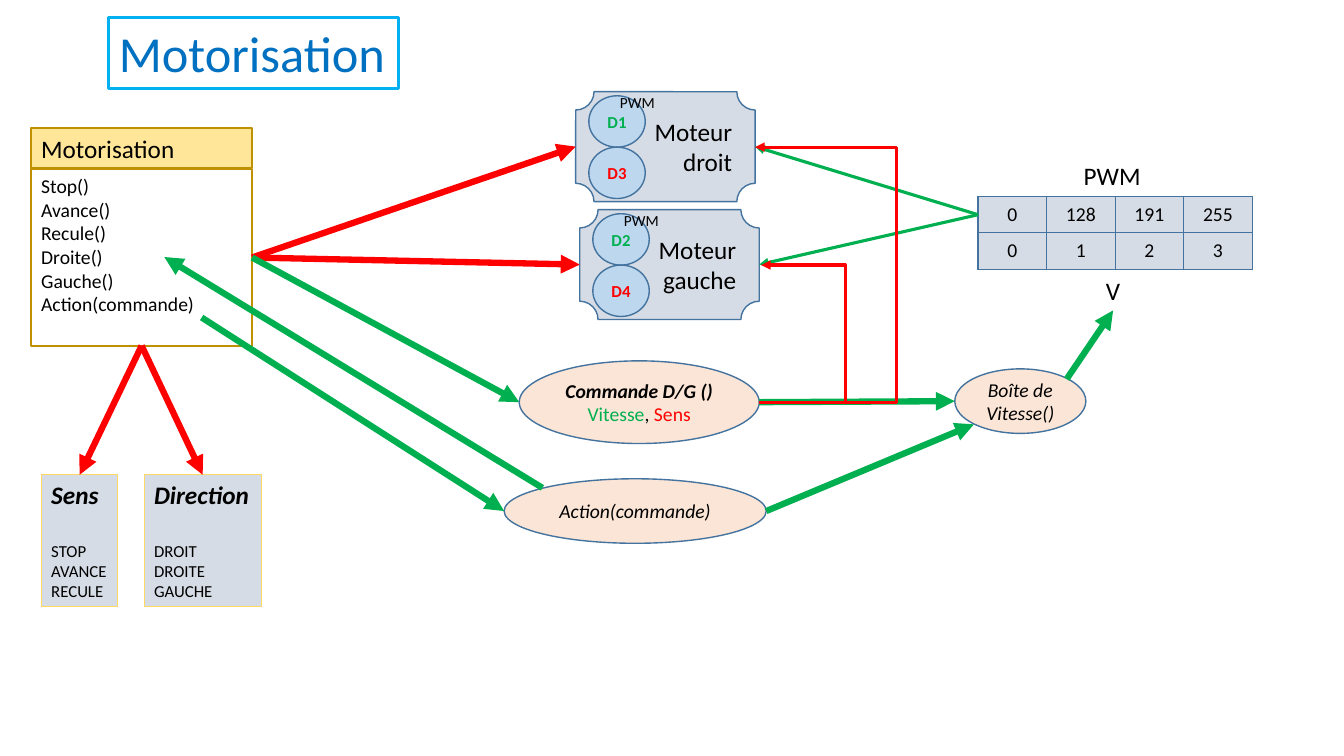
"""Build the Motorisation slide: classes, motors, commands and the PWM speed table."""
from dataclasses import dataclass
from typing import NamedTuple, Optional, Union

from pptx import Presentation
from pptx.dml.color import RGBColor
from pptx.enum.shapes import MSO_CONNECTOR as Connector, MSO_SHAPE as Shape
from pptx.enum.text import MSO_ANCHOR as Anchor, PP_ALIGN as Align
from pptx.oxml.ns import qn
from pptx.util import Pt
from lxml.etree import SubElement

PX = 9144
FONT = "Calibri"
BLACK = RGBColor(0x00, 0x00, 0x00)
RED = RGBColor(0xFF, 0x00, 0x00)
GREEN = RGBColor(0x00, 0xB0, 0x50)
GREY = RGBColor(0xD6, 0xDC, 0xE5)
STEEL = RGBColor(0x43, 0x73, 0x9E)
SKY = RGBColor(0xBD, 0xD7, 0xEE)
PEACH = RGBColor(0xFB, 0xE5, 0xD6)
CREAM = RGBColor(0xFF, 0xE6, 0x99)
GOLD = RGBColor(0xBF, 0x90, 0x00)
YELLOW = RGBColor(0xFF, 0xD9, 0x66)
CYAN = RGBColor(0x00, 0xB0, 0xF0)
BLUE = RGBColor(0x00, 0x70, 0xC0)
TOP, LEFT, BOTTOM, RIGHT = range(4)


class Run(NamedTuple):
    text: str
    size: int = 14
    color: RGBColor = BLACK
    bold: bool = False
    italic: bool = False


class Line(NamedTuple):
    runs: tuple
    space_before: int = 0


class Side(NamedTuple):
    box: str
    index: int


class Point(NamedTuple):
    x: int
    y: int


@dataclass(frozen=True)
class Box:
    name: str
    kind: Optional[Shape]
    left: int
    top: int
    width: int
    height: int
    lines: tuple
    fill: Optional[RGBColor] = None
    outline: RGBColor = STEEL
    weight: float = 1
    align: Align = Align.LEFT
    anchor: Anchor = Anchor.TOP
    wrap: bool = True


@dataclass(frozen=True)
class Link:
    begin: Union[Point, Side]
    end: Union[Point, Side]
    color: RGBColor
    weight: float = 4.5
    bend: Optional[int] = None


def single(text: str, **style) -> tuple:
    return (Line((Run(text, **style),)),)


def label(text: str, left: int, top: int, width: int, height: int, size: int) -> Box:
    return Box(text, None, left, top, width, height, single(text, size=size), wrap=False)


def oval(name: str, left: int, top: int, width: int, height: int, lines: tuple,
         fill: RGBColor = PEACH, wrap: bool = True) -> Box:
    return Box(name, Shape.OVAL, left, top, width, height, lines, fill,
               align=Align.CENTER, anchor=Anchor.MIDDLE, wrap=wrap)


def motor(side: str, left: int, top: int, speed: str, direction: str) -> list:
    lines = single("Moteur", size=18) + single(side, size=18)
    plate = Box(side, Shape.PLAQUE, left, top, 178, 109, lines, GREY,
                align=Align.RIGHT, anchor=Anchor.MIDDLE)
    pins = [oval(pin, left + 13, top + 4 + 51 * row, 56, 51,
                 single(pin, size=12, color=color, bold=True), SKY, False)
            for row, (pin, color) in enumerate(((speed, GREEN), (direction, RED)))]
    return [plate, *pins, label("PWM", left + 34, top - 4, 55, 29, 11)]


def enumeration(name: str, left: int, width: int, values: tuple) -> Box:
    items = tuple(Line((Run(value, 12),), 0 if index else 22)
                  for index, value in enumerate(values))
    return Box(name, Shape.RECTANGLE, left, 471, width, 131,
               single(name, size=18, bold=True, italic=True) + items,
               GREY, YELLOW, 0.75, wrap=False)


METHODS = ("Stop()", "Avance()", "Recule()", "Droite()", "Gauche()", "Action(commande)")
COMMAND = (Line((Run("Commande D/G ()", bold=True, italic=True),)),
           Line((Run("Vitesse", color=GREEN), Run(", "), Run("Sens", color=RED))))
BOXES = [
    Box("title", Shape.RECTANGLE, 108, 17, 287, 71,
        single("Motorisation", size=36, color=BLUE), None, CYAN, 2.25, wrap=False),
    Box("class", Shape.RECTANGLE, 31, 127, 219, 40,
        single("Motorisation", size=18), CREAM, GOLD, 1.5),
    Box("methods", Shape.RECTANGLE, 31, 168, 219, 175,
        tuple(Line((Run(method),)) for method in METHODS), None, GOLD, 1.5),
    *motor("droit", 571, 91, "D1", "D3"),
    *motor("gauche", 575, 208, "D2", "D4"),
    oval("gearbox", 947, 366, 130, 64, single("Boîte de Vitesse()", italic=True)),
    oval("command", 515, 358, 238, 82, COMMAND),
    oval("action", 500, 475, 260, 64, single("Action(commande)", italic=True)),
    enumeration("Direction", 143, 116, ("DROIT", "DROITE", "GAUCHE")),
    enumeration("Sens", 41, 76, ("STOP", "AVANCE", "RECULE")),
    label("PWM", 1065, 154, 77, 40, 18),
    label("V", 1087, 268, 35, 40, 18),
]
SPEEDS = (("0", "128", "191", "255"), ("0", "1", "2", "3"))
OUTPUT = Side("methods", RIGHT)
VALUES = Point(970, 213)
COMMAND_END = Point(753, 399)
LINKS = [
    Link(OUTPUT, Side("droit", LEFT), RED),
    Link(OUTPUT, Side("gauche", LEFT), RED),
    Link(Point(1058, 376), Point(1104, 308), GREEN),
    Link(VALUES, Side("droit", RIGHT), GREEN, 2.25),
    Link(VALUES, Side("gauche", RIGHT), GREEN, 2.25),
    Link(OUTPUT, Point(515, 399), GREEN),
    Link(COMMAND_END, Point(947, 398), GREEN),
    Link(COMMAND_END, Point(755, 263), RED, 2.25, 838),
    Link(COMMAND_END, Point(749, 146), RED, 2.25, 889),
    Link(Side("methods", BOTTOM), Side("Sens", TOP), RED),
    Link(Side("methods", BOTTOM), Side("Direction", TOP), RED),
    Link(Point(200, 315), Point(500, 507), GREEN),
    Link(Point(538, 484), Point(163, 255), GREEN),
    Link(Point(760, 507), Point(966, 421), GREEN),
]


def add_text(paragraph, text: str, *, size: int, color: RGBColor,
             bold: bool, italic: bool) -> None:
    run = paragraph.add_run()
    run.text = text
    font = run.font
    font.name, font.size, font.bold, font.italic = FONT, Pt(size), bold, italic
    font.color.rgb = color


def draw_box(slide, box: Box):
    bounds = [value * PX for value in (box.left, box.top, box.width, box.height)]
    if box.kind is None:
        shape = slide.shapes.add_textbox(*bounds)
    else:
        shape = slide.shapes.add_shape(box.kind, *bounds)
        shape.shadow.inherit = False
        shape.line.color.rgb, shape.line.width = box.outline, Pt(box.weight)
        if box.fill is None:
            shape.fill.background()
        else:
            shape.fill.solid()
            shape.fill.fore_color.rgb = box.fill
    frame = shape.text_frame
    frame.word_wrap, frame.vertical_anchor = box.wrap, box.anchor
    for index, line in enumerate(box.lines):
        paragraph = frame.add_paragraph() if index else frame.paragraphs[0]
        paragraph.alignment, paragraph.space_before = box.align, Pt(line.space_before)
        for run in line.runs:
            add_text(paragraph, **run._asdict())
    return shape


def draw_link(slide, link: Link, shapes: dict) -> None:
    begin, end = (place if isinstance(place, Point) else Point(0, 0)
                  for place in (link.begin, link.end))
    kind = Connector.STRAIGHT if link.bend is None else Connector.ELBOW
    connector = slide.shapes.add_connector(kind, *(value * PX for value in (*begin, *end)))
    if isinstance(link.begin, Side):
        connector.begin_connect(shapes[link.begin.box], link.begin.index)
    if isinstance(link.end, Side):
        connector.end_connect(shapes[link.end.box], link.end.index)
    connector.line.color.rgb, connector.line.width = link.color, Pt(link.weight)
    properties = connector._element.spPr
    SubElement(properties.find(qn("a:ln")), qn("a:tailEnd"), type="triangle")
    SubElement(properties, qn("a:effectLst"))
    if link.bend is not None:
        ratio = round((link.bend - begin.x) / (end.x - begin.x) * 100000)
        guides = properties.find(qn("a:prstGeom")).find(qn("a:avLst"))
        SubElement(guides, qn("a:gd"), name="adj1", fmla=f"val {ratio}")


def draw_cell(cell, text: str) -> None:
    cell.fill.solid()
    cell.fill.fore_color.rgb = GREY
    cell.vertical_anchor = Anchor.MIDDLE
    paragraph = cell.text_frame.paragraphs[0]
    paragraph.alignment = Align.CENTER
    add_text(paragraph, **Run(text)._asdict())
    properties = cell._tc.get_or_add_tcPr()
    for index, edge in enumerate(("a:lnL", "a:lnR", "a:lnT", "a:lnB")):
        border = properties.makeelement(qn(edge), {"w": str(Pt(1))})
        SubElement(SubElement(border, qn("a:solidFill")), qn("a:srgbClr"), val=str(STEEL))
        properties.insert(index, border)


def draw_speeds(slide) -> None:
    bounds = [value * PX for value in (970, 195, 272, 72)]
    table = slide.shapes.add_table(len(SPEEDS), len(SPEEDS[0]), *bounds).table
    for row, values in enumerate(SPEEDS):
        for column, value in enumerate(values):
            draw_cell(table.cell(row, column), value)


def main() -> None:
    presentation = Presentation()
    presentation.slide_width, presentation.slide_height = 1333 * PX, 750 * PX
    slide = presentation.slides.add_slide(presentation.slide_layouts[6])
    shapes = {box.name: draw_box(slide, box) for box in BOXES}
    draw_speeds(slide)
    for link in LINKS:
        draw_link(slide, link, shapes)
    presentation.save("out.pptx")


if __name__ == "__main__":
    main()
